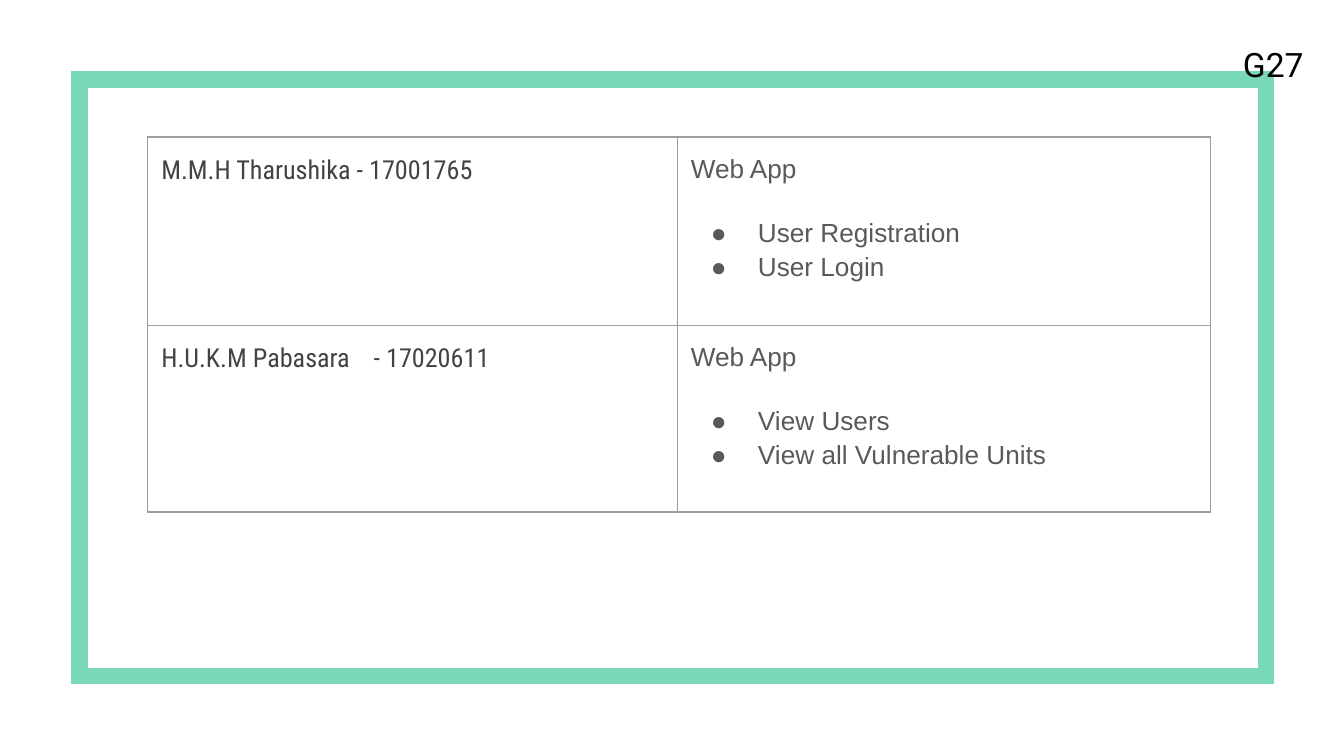
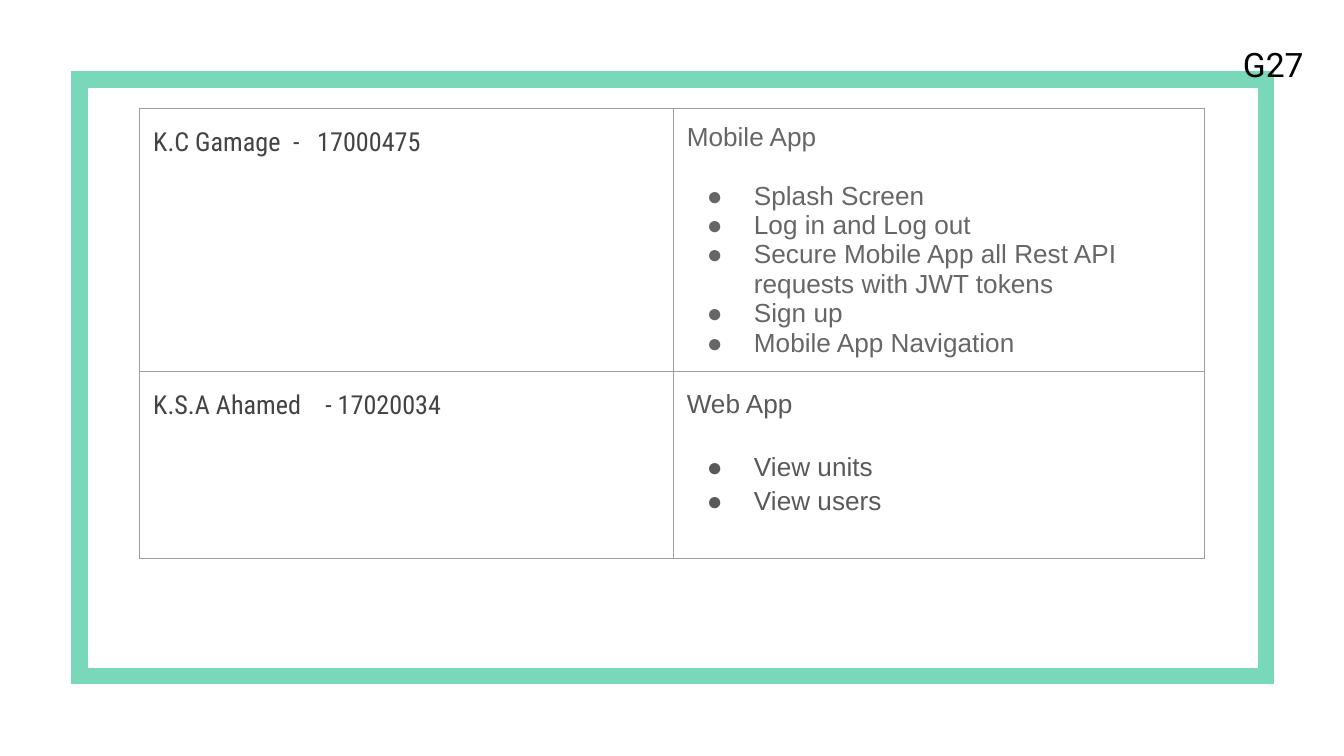
from lxml import etree
from pptx import Presentation
from pptx import util as u
from pptx.dml.color import RGBColor
from pptx.enum import shapes, text
from pptx.oxml import ns

GREEN = "79D8B9"
BLACK = "000000"
BORDER = "9E9E9E"
NAME_GREY = "434343"
DARK_GREY = "595959"
MID_GREY = "666666"
INSET = u.Inches(0.1)

# Each member: name with tab gaps, tab stops, app, tasks, task colour, task line spacing
FIRST_PAIR = [
    ("M.M.H Tharushika - 17001765", [], "Web App",
     ["User Registration", "User Login"], DARK_GREY, 1.15),
    ("H.U.K.M Pabasara\t- 17020611", [1.58], "Web App",
     ["View Users", "View all Vulnerable Units"], DARK_GREY, 1.15),
]
SECOND_PAIR = [
    ("K.C Gamage\t-\t17000475", [1.04, 1.22], "Mobile App",
     ["Splash Screen", "Log in and Log out",
      "Secure Mobile App all Rest API requests with JWT tokens",
      "Sign up", "Mobile App Navigation"], MID_GREY, None),
    ("K.S.A Ahamed\t- 17020034", [1.28], "Web App",
     ["View units", "View users"], DARK_GREY, 1.15),
]


def colour(value):
    return RGBColor.from_string(value)


def add_element(parent, tag, **attributes):
    element = etree.SubElement(parent, ns.qn(tag))
    for key, value in attributes.items():
        element.set(key, str(value))
    return element


def write(frame, words, size=14, font="Arial", ink=BLACK, spacing=None,
          before=None, bullet=False, tabs=()):
    """Fill the first paragraph of the frame if it is empty, else add one."""
    para = frame.paragraphs[0]
    if para.runs:
        para = frame.add_paragraph()
    properties = para._p.get_or_add_pPr()
    if bullet:
        properties.set("marL", str(u.Inches(0.5)))
        properties.set("indent", str(-u.Inches(0.35)))
        mark = add_element(properties, "a:buClr")
        add_element(mark, "a:srgbClr", val=ink)
        add_element(properties, "a:buFont", typeface=font)
        add_element(properties, "a:buChar", char="●")
    if tabs:
        stops = add_element(properties, "a:tabLst")
        for stop in tabs:
            add_element(stops, "a:tab", pos=u.Inches(stop), algn="l")
    para.alignment = text.PP_ALIGN.LEFT
    if spacing:
        para.line_spacing = spacing
    if before:
        para.space_before = u.Pt(before)
    span = para.add_run()
    span.text = words
    span.font.size = u.Pt(size)
    span.font.name = font
    span.font.color.rgb = colour(ink)


def set_margins(target):
    target.margin_left = target.margin_right = INSET
    target.margin_top = target.margin_bottom = INSET


def style_cell(cell):
    set_margins(cell)
    cell.vertical_anchor = text.MSO_ANCHOR.TOP
    properties = cell._tc.get_or_add_tcPr()
    for side in ("a:lnL", "a:lnR", "a:lnT", "a:lnB"):
        edge = add_element(properties, side, w=u.Pt(0.75))
        fill = add_element(edge, "a:solidFill")
        add_element(fill, "a:srgbClr", val=BORDER)
    cell.fill.background()


def add_frame(page, left, top, width, height):
    border = page.shapes.add_shape(
        shapes.MSO_SHAPE.RECTANGLE, u.Inches(left), u.Inches(top),
        u.Inches(width), u.Inches(height))
    border.shadow.inherit = False
    border.fill.background()
    border.line.color.rgb = colour(GREEN)
    border.line.width = u.Pt(9)
    add_element(border.line._get_or_add_ln(), "a:miter", lim=800000)
    # The group label straddles the top right corner
    label = page.shapes.add_textbox(
        u.Inches(left + width - 0.27), u.Inches(top - 0.36),
        u.Inches(0.66), u.Inches(0.42))
    label.text_frame.word_wrap = True
    set_margins(label.text_frame)
    write(label.text_frame, "G27", size=18, font="Roboto")


def add_members(page, left, top, widths, heights, members):
    grid = page.shapes.add_table(
        len(members), len(widths), u.Inches(left), u.Inches(top),
        u.Inches(sum(widths)), u.Inches(sum(heights))).table
    grid.first_row = grid.horz_banding = False
    for column, width in zip(grid.columns, widths):
        column.width = u.Inches(width)
    for row, height, member in zip(grid.rows, heights, members):
        row.height = u.Inches(height)
        name, tabs, app, tasks, ink, spacing = member
        name_cell, task_cell = row.cells
        style_cell(name_cell)
        style_cell(task_cell)
        # Long lists fill the row, so the bottom margin must not stretch it
        if len(tasks) > 2:
            task_cell.margin_bottom = 0
        write(name_cell.text_frame, name, font="Roboto Condensed",
              ink=NAME_GREY, spacing=1.15, tabs=tabs)
        frame = task_cell.text_frame
        write(frame, app, ink=ink, spacing=spacing)
        for index, task in enumerate(tasks):
            write(frame, task, ink=ink, spacing=spacing, bullet=True,
                  before=16 if index == 0 else None)


def add_member_page(deck, *table):
    page = deck.slides.add_slide(deck.slide_layouts[6])
    add_frame(page, 0.59, 0.59, 8.83, 4.44)
    add_members(page, *table)


def main():
    deck = Presentation()
    deck.slide_width = u.Inches(10)
    deck.slide_height = u.Inches(10 * 9 / 16)
    add_member_page(deck, 1.1, 1.02, (3.94, 3.97), (1.4, 1.39), FIRST_PAIR)
    add_member_page(deck, 1.04, 0.81, (3.97, 3.95), (1.95, 1.39), SECOND_PAIR)
    deck.save("out.pptx")


if __name__ == "__main__":
    main()
